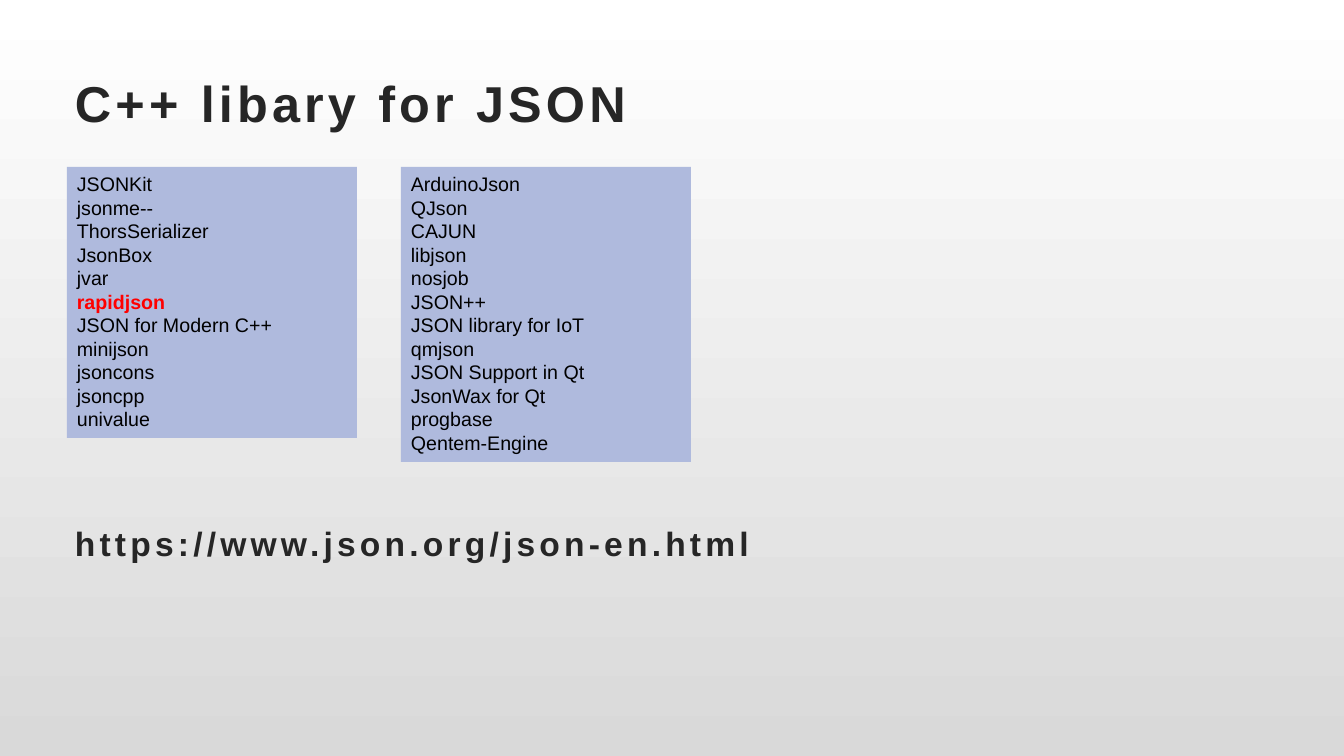
from pptx import Presentation
from pptx.dml.color import RGBColor
from pptx.enum.shapes import MSO_SHAPE as SHAPE
from pptx.enum.text import MSO_ANCHOR as ANCHOR, MSO_AUTO_SIZE as AUTO, PP_ALIGN as ALIGN
from pptx.util import Pt

# Content
COLORS = {
    "top": "FFFFFF", "bottom": "D9D9D9", "heading": "262626",
    "panel": "AFBADD", "text": "000000", "highlight": "FF0000",
}
FONT = "Arial"
HEADINGS = [  # text, left, top, width, height, size
    ("C++ libary for JSON", 65, 66, 602, 72, 36),
    ("https://www.json.org/json-en.html", 65, 504, 727, 78, 24),
]
HIGHLIGHT = "rapidjson"
LIBRARIES = [
    ["JSONKit", "jsonme--", "ThorsSerializer", "JsonBox", "jvar", "rapidjson",
     "JSON for Modern C++", "minijson", "jsoncons", "jsoncpp", "univalue"],
    ["ArduinoJson", "QJson", "CAJUN", "libjson", "nosjob", "JSON++",
     "JSON library for IoT", "qmjson", "JSON Support in Qt", "JsonWax for Qt",
     "progbase", "Qentem-Engine"],
]

# Layout in px
SLIDE_W, SLIDE_H = 1344, 756
PANEL_LEFT, PANEL_TOP, PANEL_W, PANEL_STEP = 67, 167, 290, 334
LINE_H, PANEL_PAD = 24, 7


def px(n):
    return round(n * 914400 / 100.8)


def rgb(name):
    return RGBColor.from_string(COLORS[name])


def style(p, size, color, bold):
    p.alignment = ALIGN.LEFT
    p.font.name, p.font.size, p.font.bold = FONT, Pt(size), bold
    p.font.color.rgb = rgb(color)


prs = Presentation()
prs.slide_width, prs.slide_height = px(SLIDE_W), px(SLIDE_H)
s = prs.slides.add_slide(prs.slide_layouts[6])

# Background gradient
fill = s.background.fill
fill.gradient()
fill.gradient_angle = 270
for stop, name, position in zip(fill.gradient_stops, ("top", "bottom"), (0, 1)):
    stop.color.rgb = rgb(name)
    stop.position = position

# Headings
for text, left, top, width, height, size in HEADINGS:
    tf = s.shapes.add_textbox(px(left), px(top), px(width), px(height)).text_frame
    tf.word_wrap = True
    tf.vertical_anchor = ANCHOR.MIDDLE
    p = tf.paragraphs[0]
    r = p.add_run()
    r.text = text
    style(p, size, "heading", True)
    r.font._element.set("spc", "300")  # letter spacing of 3 pt

# Library panels
for i, names in enumerate(LIBRARIES):
    sp = s.shapes.add_shape(
        SHAPE.RECTANGLE, px(PANEL_LEFT + i * PANEL_STEP), px(PANEL_TOP),
        px(PANEL_W), px(LINE_H * len(names) + PANEL_PAD))
    sp.shadow.inherit = False
    sp.fill.solid()
    sp.fill.fore_color.rgb = rgb("panel")
    sp.line.fill.background()
    tf = sp.text_frame
    tf.word_wrap = True
    tf.auto_size = AUTO.SHAPE_TO_FIT_TEXT
    tf.vertical_anchor = ANCHOR.TOP
    for j, name in enumerate(names):
        p = tf.add_paragraph() if j else tf.paragraphs[0]
        p.text = name
        marked = name == HIGHLIGHT
        style(p, 14, "highlight" if marked else "text", marked)

prs.save("out.pptx")
